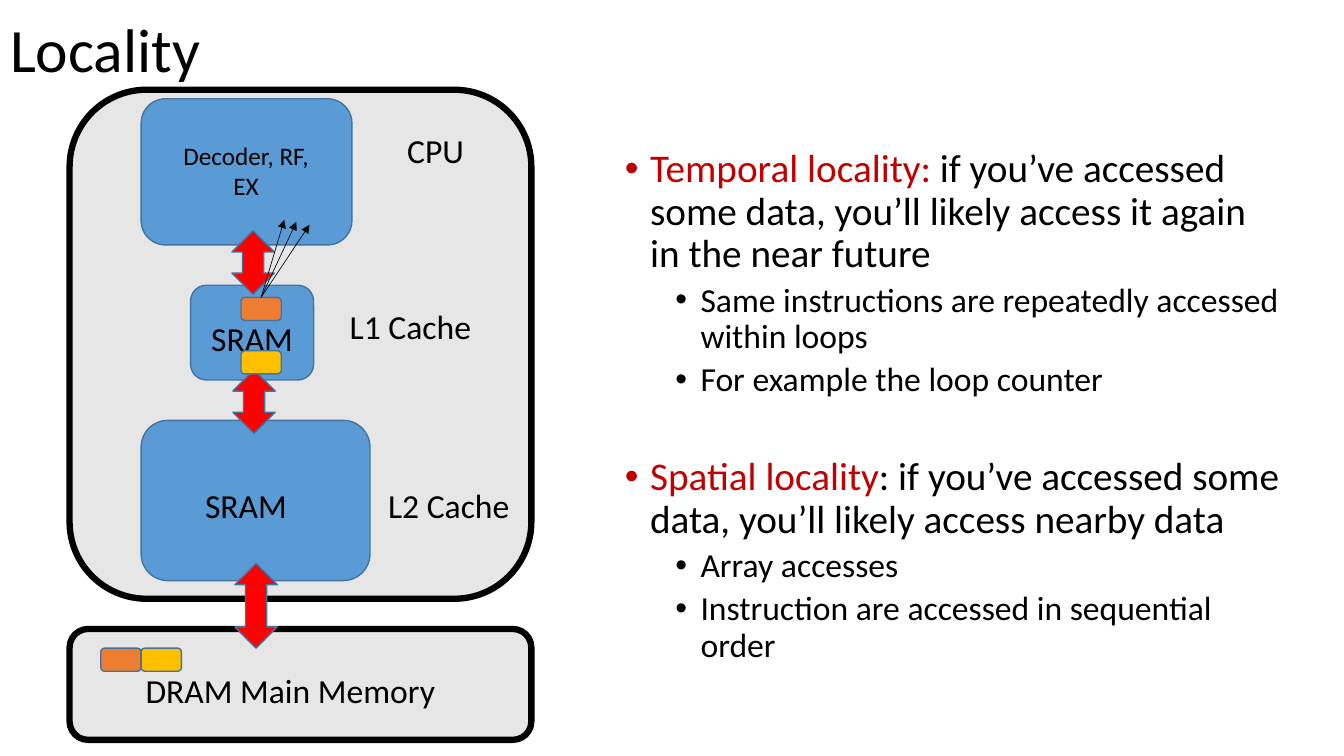
from dataclasses import dataclass

from lxml import etree
from pptx import Presentation
from pptx import util as u
from pptx.dml.color import RGBColor
from pptx.enum import shapes, text
from pptx.oxml import ns


@dataclass(frozen=True)
class Theme:
    font: str = "Calibri"
    ink: str = "000000"
    accent: str = "C00000"
    panel: str = "E7E6E6"
    block: str = "5B9BD5"
    edge: str = "43739E"
    arrow: str = "FF0000"
    ray: str = "0D0D0D"
    orange: str = "ED7D31"
    gold: str = "FFC000"
    title: int = 44
    lead: int = 28
    body: int = 24
    small: int = 18


T = Theme()
ROUND = shapes.MSO_SHAPE.ROUNDED_RECTANGLE
DOUBLE = shapes.MSO_SHAPE.UP_DOWN_ARROW
CENTER = text.PP_ALIGN.CENTER
CELL = (0.4, 0.23)


def inch(*nums):
    return [u.Inches(n) for n in nums]


def run(para, words, size, color=T.ink):
    part = para.add_run()
    part.text = words
    part.font.name = T.font
    part.font.size = u.Pt(size)
    part.font.color.rgb = RGBColor.from_string(color)


def shape(slide, box, fill, edge=T.edge, width=1, kind=ROUND):
    item = slide.shapes.add_shape(kind, *inch(*box))
    item.shadow.inherit = False
    item.fill.solid()
    item.fill.fore_color.rgb = RGBColor.from_string(fill)
    item.line.color.rgb = RGBColor.from_string(edge)
    item.line.width = u.Pt(width)


def panel(slide, box):
    shape(slide, box, T.panel, T.ink, 4.5)


def arrow(slide, x, y, high=0.63):
    shape(slide, (x, y, 0.42, high), T.arrow, kind=DOUBLE)


def label(slide, box, words, size=T.body, wrap=False):
    frame = slide.shapes.add_textbox(*inch(*box)).text_frame
    frame.word_wrap = wrap
    para = frame.paragraphs[0]
    para.alignment = CENTER
    run(para, words, size)


def ray(slide, start, end):
    line = slide.shapes.add_connector(
        shapes.MSO_CONNECTOR.STRAIGHT, *inch(*start, *end))
    line.line.color.rgb = RGBColor.from_string(T.ray)
    line.line.width = u.Pt(0.5)
    tip = etree.SubElement(line.line._get_or_add_ln(), ns.qn("a:tailEnd"))
    tip.set("type", "triangle")
    etree.SubElement(line._element.spPr, ns.qn("a:effectLst"))


def heading(slide, box):
    title = slide.shapes.title
    title.left, title.top, title.width, title.height = inch(*box)
    frame = title.text_frame
    frame.auto_size = text.MSO_AUTO_SIZE.NONE
    frame.vertical_anchor = text.MSO_ANCHOR.MIDDLE
    para = frame.paragraphs[0]
    para.alignment = text.PP_ALIGN.LEFT
    para.line_spacing = 0.9
    run(para, "Locality", T.title)


def chip(slide, box):
    x, y, w, h = box
    panel(slide, box)
    for left, top, wide, high in (
            (0.71, 0.09, 2.09, 1.45),
            (1.2, 1.94, 1.22, 0.94),
            (0.71, 3.28, 2.27, 1.59)):
        shape(slide, (x + left, y + top, wide, high), T.block)
    label(slide, (x + 0.91, y + 0.45, 1.68, 0.71),
          "Decoder, RF, EX", T.small, True)
    for left, top, wide, words in (
            (2.79, 0.35, 1.68, "CPU"),
            (1.3, 2.21, 1.02, "SRAM"),
            (2.67, 2.1, 1.42, "L1 Cache"),
            (1.24, 3.87, 1.02, "SRAM"),
            (3.05, 3.87, 1.42, "L2 Cache")):
        label(slide, (x + left, y + top, wide, 0.5), words)
    arrow(slide, x + 1.61, y + 1.4)
    arrow(slide, x + 1.62, y + 2.78)
    for top, color in ((2.06, T.orange), (2.59, T.gold)):
        shape(slide, (x + 1.7, y + top, *CELL), color)
    start = (x + 1.9, y + 2.06)
    for left, top in ((2.13, 1.29), (2.25, 1.31), (2.38, 1.34)):
        ray(slide, start, (x + left, y + top))


def memory(slide, box):
    x, y, w, h = box
    panel(slide, box)
    arrow(slide, x + 1.64, y - 0.65, 0.84)
    label(slide, (x + 0.64, y + 0.36, 3.1, 0.5), "DRAM Main Memory")
    for i, color in enumerate((T.orange, T.gold)):
        shape(slide, (x + 0.31 + i * CELL[0], y + 0.19, *CELL), color)


def bullet(para, level, space):
    para.level = level
    para.line_spacing = 0.9
    para.space_before = u.Pt(space)
    prop = para._p.get_or_add_pPr()
    prop.set("marL", str(u.Inches(0.25 + level * 0.5)))
    prop.set("indent", str(u.Inches(-0.25)))
    etree.SubElement(prop, ns.qn("a:buFont")).set("typeface", "Arial")
    etree.SubElement(prop, ns.qn("a:buChar")).set("char", "•")


def notes(slide, box):
    frame = slide.shapes.add_textbox(*inch(*box)).text_frame
    frame.word_wrap = True
    topics = (
        (10, "Temporal locality: ",
         "if you’ve accessed some data, you’ll likely access it again "
         "in the near future",
         ("Same instructions are repeatedly accessed within loops",
          "For example the loop counter")),
        (41.5, "Spatial locality",
         ": if you’ve accessed some data, you’ll likely access nearby data",
         ("Array accesses ",
          "Instruction are accessed in sequential order")))
    for i, (space, term, rest, points) in enumerate(topics):
        para = frame.add_paragraph() if i else frame.paragraphs[0]
        bullet(para, 0, space)
        run(para, term, T.lead, T.accent)
        run(para, rest, T.lead)
        for point in points:
            para = frame.add_paragraph()
            bullet(para, 1, 5)
            run(para, point, T.body)


def main():
    deck = Presentation()
    deck.slide_width, deck.slide_height = inch(13.33, 7.5)
    slide = deck.slides.add_slide(deck.slide_layouts.get_by_name("Title Only"))
    heading(slide, (0, -0.2, 11.5, 1.45))
    chip(slide, (0.69, 0.89, 4.58, 5.05))
    memory(slide, (0.69, 6.24, 4.58, 1.1))
    notes(slide, (6.1, 1.43, 6.73, 5.74))
    deck.save("out.pptx")


main()
